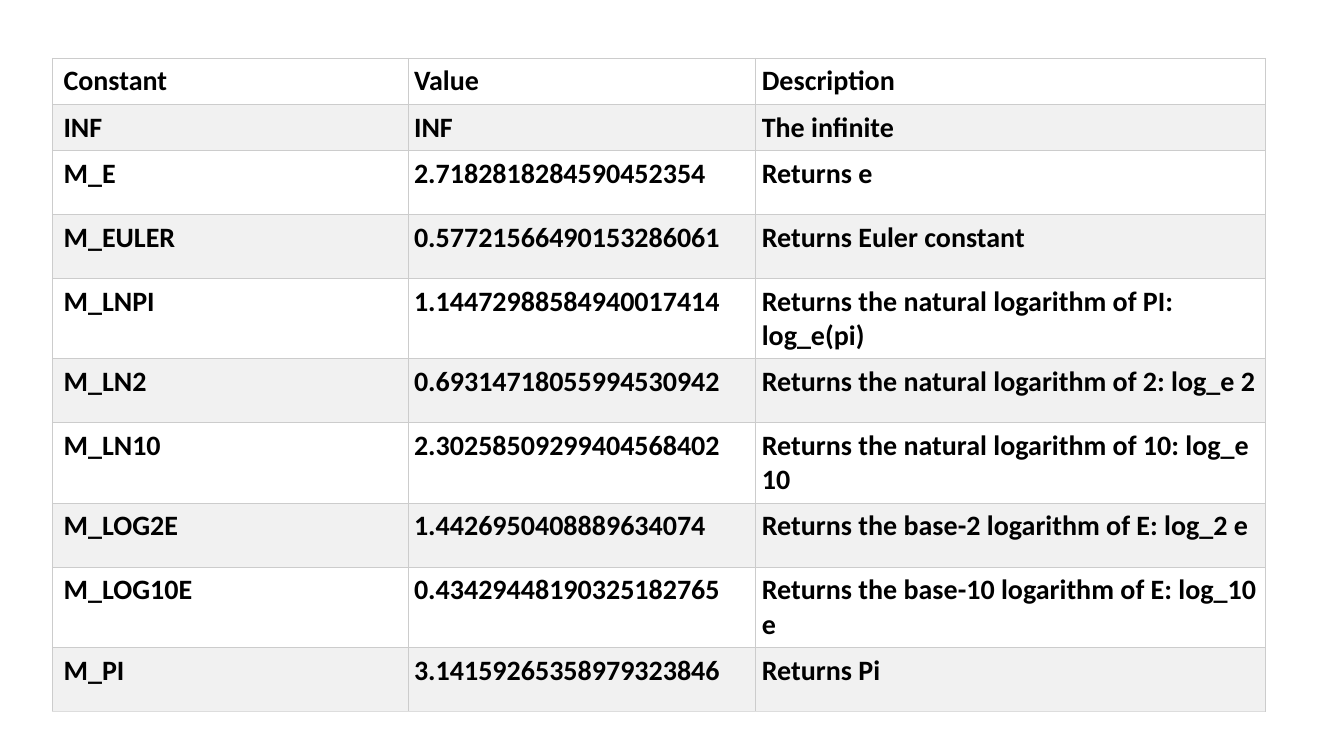
import pptx
import pptx.util
import pptx.dml.color
import pptx.oxml
import pptx.oxml.ns

Pt = pptx.util.Pt
RGBColor = pptx.dml.color.RGBColor

BLACK = RGBColor(0, 0, 0)
WHITE = RGBColor(255, 255, 255)
BAND = RGBColor(0xF1, 0xF1, 0xF1)
GRID = RGBColor(0xCC, 0xCC, 0xCC)
BASE = RGBColor(0xDD, 0xDD, 0xDD)

WIDTHS = [254.2, 248.4, 363.6]
HEIGHTS = [28] * 2 + [45.7] * 8
ROWS = [
    ("Constant", "Value", "Description"),
    ("INF", "INF", "The infinite"),
    ("M_E", "2.7182818284590452354", "Returns e"),
    ("M_EULER", "0.57721566490153286061", "Returns Euler constant"),
    ("M_LNPI", "1.14472988584940017414",
     "Returns the natural logarithm of PI: log_e(pi)"),
    ("M_LN2", "0.69314718055994530942",
     "Returns the natural logarithm of 2: log_e 2"),
    ("M_LN10", "2.30258509299404568402",
     "Returns the natural logarithm of 10: log_e 10"),
    ("M_LOG2E", "1.4426950408889634074",
     "Returns the base-2 logarithm of E: log_2 e"),
    ("M_LOG10E", "0.43429448190325182765",
     "Returns the base-10 logarithm of E: log_10 e"),
    ("M_PI", "3.14159265358979323846", "Returns Pi"),
]


class Deck:
    """Holds the text style and the current slide."""

    def __init__(self, slide, font, size):
        self.slide, self.font, self.size = slide, font, size

    def text(self, cell, words):
        run = cell.text_frame.paragraphs[0].add_run()
        run.text = words
        run.font.name = self.font
        run.font.size = Pt(self.size)
        run.font.bold = True
        run.font.color.rgb = BLACK

    def edge(self, cell, side, color):
        line = pptx.oxml.parse_xml(
            f'<a:ln{side} {pptx.oxml.ns.nsdecls("a")} w="{Pt(0.75)}">'
            f'<a:solidFill><a:srgbClr val="{color}"/></a:solidFill>'
            f'</a:ln{side}>')
        cell._tc.get_or_add_tcPr().append(line)

    def cell(self, cell, words, fill, left, base):
        cell.margin_left = Pt(left)
        cell.margin_right = cell.margin_top = cell.margin_bottom = Pt(4.2)
        for side in "LRT":
            self.edge(cell, side, GRID)
        self.edge(cell, "B", base)
        cell.fill.solid()
        cell.fill.fore_color.rgb = fill
        self.text(cell, words)

    def table(self, left, top, widths, heights, rows):
        frame = self.slide.shapes.add_table(
            len(rows), len(widths), Pt(left), Pt(top),
            Pt(sum(widths)), Pt(sum(heights)))
        grid = frame.table
        for col, width in zip(grid.columns, widths):
            col.width = Pt(width)
        for row, height in zip(grid.rows, heights):
            row.height = Pt(height)
        for i, row in enumerate(rows):
            fill = BAND if i % 2 else WHITE
            base = BASE if i == len(rows) - 1 else GRID
            for j, words in enumerate(row):
                self.cell(grid.cell(i, j), words, fill, 4.2 if j else 8, base)


show = pptx.Presentation()
show.slide_width, show.slide_height = Pt(960), Pt(540)
deck = Deck(show.slides.add_slide(show.slide_layouts[6]), "Calibri", 20)
deck.table(37.4, 41.7, WIDTHS, HEIGHTS, ROWS)
show.save("out.pptx")
